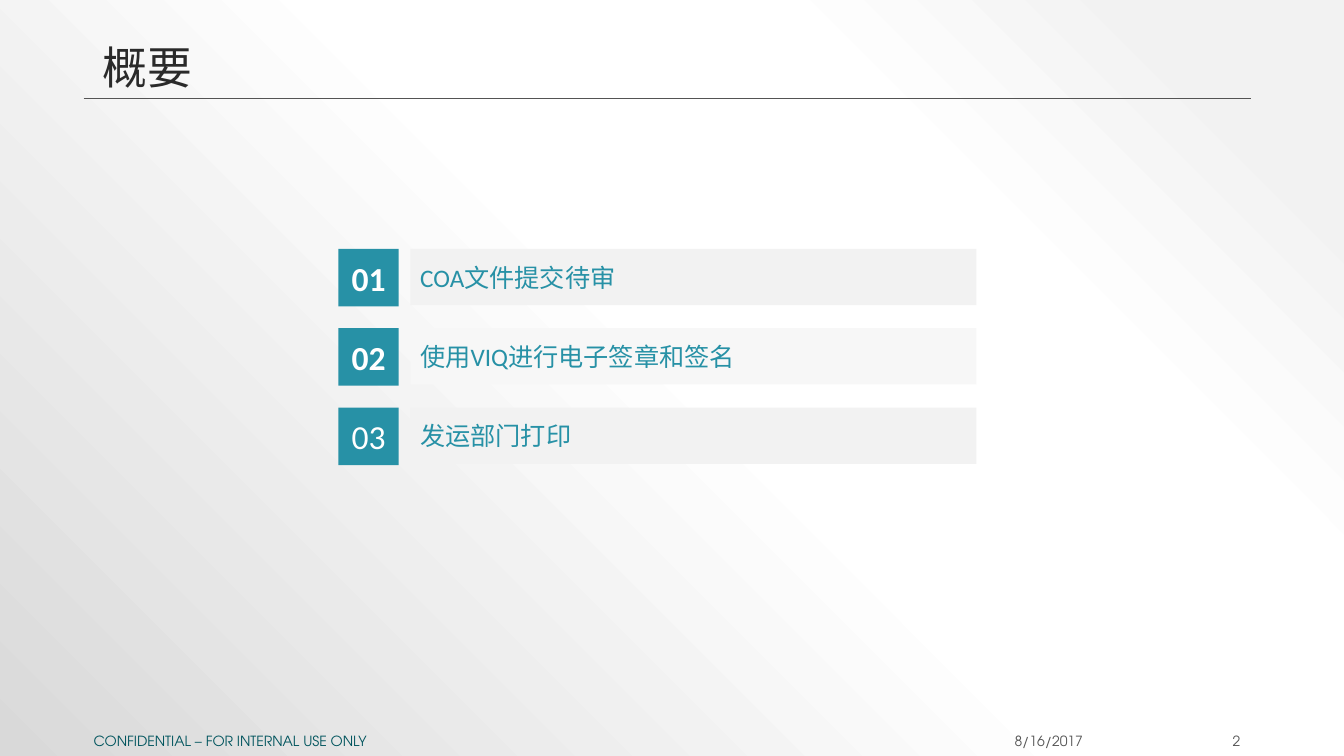
from dataclasses import dataclass

from lxml.etree import SubElement
from pptx import Presentation
from pptx.dml.color import RGBColor
from pptx.enum.shapes import MSO_CONNECTOR, MSO_SHAPE
from pptx.enum.text import MSO_ANCHOR, PP_ALIGN
from pptx.oxml.ns import qn
from pptx.util import Cm, Pt


@dataclass(frozen=True)
class Theme:
    """Colours, fonts and type sizes of the slide."""
    ink: str = "2A2A2A"
    grey: str = "545454"
    teal: str = "2791A6"
    dark_teal: str = "00545D"
    white: str = "FFFFFF"
    bars: tuple = ("F2F2F2", "F7F7F7")
    backdrop: tuple = ((10, "F2F2F2"), (28, "FFFFFF"), (48, "FFFFFF"), (100, "D9D9D9"))
    body_font: str = "Calibri"
    footer_font: str = "TeX Gyre Adventor"
    title_size: int = 32
    number_size: int = 24
    topic_size: int = 18
    footer_size: int = 10


THEME = Theme()


def write(holder, text, *, size, color, font=THEME.body_font, bold=False,
          align=PP_ALIGN.LEFT, anchor=MSO_ANCHOR.MIDDLE, wrap=True, spacing=1.0):
    """Put formatted text into a shape or text box."""
    frame = holder.text_frame
    frame.word_wrap = wrap
    frame.vertical_anchor = anchor
    paragraph = frame.paragraphs[0]
    paragraph.alignment = align
    paragraph.line_spacing = spacing
    run = paragraph.add_run()
    run.text = text
    run.font.name = font
    run.font.size = Pt(size)
    run.font.bold = bold
    run.font.color.rgb = RGBColor.from_string(color)


def add_label(slide, left, top, width, height, text, **style):
    """Add a text box with formatted text."""
    write(slide.shapes.add_textbox(Cm(left), Cm(top), Cm(width), Cm(height)), text, **style)


def add_panel(slide, left, top, width, height, fill, text, **style):
    """Add a flat filled rectangle with formatted text."""
    panel = slide.shapes.add_shape(
        MSO_SHAPE.RECTANGLE, Cm(left), Cm(top), Cm(width), Cm(height))
    panel.shadow.inherit = False
    panel.fill.solid()
    panel.fill.fore_color.rgb = RGBColor.from_string(fill)
    panel.line.fill.background()
    write(panel, text, **style)


def paint_backdrop(slide):
    """Fill the background with a gradient spreading from the top right corner."""
    slide.background.fill.gradient()
    gradient = next(slide.element.iter(qn("a:gradFill")))
    for child in list(gradient):
        gradient.remove(child)
    stops = SubElement(gradient, qn("a:gsLst"))
    for position, color in THEME.backdrop:
        stop = SubElement(stops, qn("a:gs"), pos=str(position * 1000))
        SubElement(stop, qn("a:srgbClr"), val=color)
    spread = SubElement(gradient, qn("a:path"), path="circle")
    SubElement(spread, qn("a:fillToRect"), l="100000", b="100000")


def add_heading(slide, left, top, width, height, title):
    """Place the title above a thin rule."""
    bottom = top + height
    rule = slide.shapes.add_connector(
        MSO_CONNECTOR.STRAIGHT, Cm(left), Cm(bottom), Cm(left + width), Cm(bottom))
    rule.line.color.rgb = RGBColor.from_string(THEME.grey)
    rule.line.width = Pt(0.5)
    SubElement(rule.element.spPr, qn("a:effectLst"))
    add_label(slide, left + 0.22, top, width - 0.22, height, title,
              size=THEME.title_size, color=THEME.ink,
              anchor=MSO_ANCHOR.BOTTOM, spacing=0.9)


def add_agenda(slide, left, top, width, height, topics):
    """Stack numbered topics with equal spacing."""
    number_width, number_height, bar_height, gap = 1.52, 1.45, 1.42, 0.29
    pitch = (height - number_height) / (len(topics) - 1)
    bar_left = number_width + gap
    for index, (topic, bold) in enumerate(topics):
        row_top = top + index * pitch
        add_panel(slide, left, row_top, number_width, number_height, THEME.teal,
                  f"{index + 1:02}", size=THEME.number_size, color=THEME.white,
                  bold=bold, align=PP_ALIGN.CENTER, wrap=False)
        add_panel(slide, left + bar_left, row_top, width - bar_left, bar_height,
                  THEME.bars[index % 2], topic, size=THEME.topic_size, color=THEME.teal)


def add_footer(slide, left, top, width, height, notice, date, number):
    """Place the notice on the left, the date and page number on the right."""
    style = dict(size=THEME.footer_size, font=THEME.footer_font)
    right = left + width
    add_label(slide, left, top, 21.08, height, notice, color=THEME.dark_teal, **style)
    for text, end, span in ((date, right - 3.97, 3.89), (number, right, 3.18)):
        add_label(slide, end - span, top, span, height, text,
                  color=THEME.grey, align=PP_ALIGN.RIGHT, **style)


def build():
    """Build and save the overview slide."""
    deck = Presentation()
    deck.slide_width, deck.slide_height = Cm(33.87), Cm(19.05)
    slide = deck.slides.add_slide(deck.slide_layouts[6])
    paint_backdrop(slide)
    add_heading(slide, 2.11, 0.53, 29.42, 1.96, "概要")
    add_agenda(slide, 8.53, 6.27, 16.08, 5.45, (
        ("COA文件提交待审", True),
        ("使用VIQ进行电子签章和签名", True),
        ("发运部门打印", False),
    ))
    add_footer(slide, 2.11, 18.42, 29.4, 0.51,
               "CONFIDENTIAL – FOR INTERNAL USE ONLY", "8/16/2017", "2")
    deck.save("out.pptx")


build()
